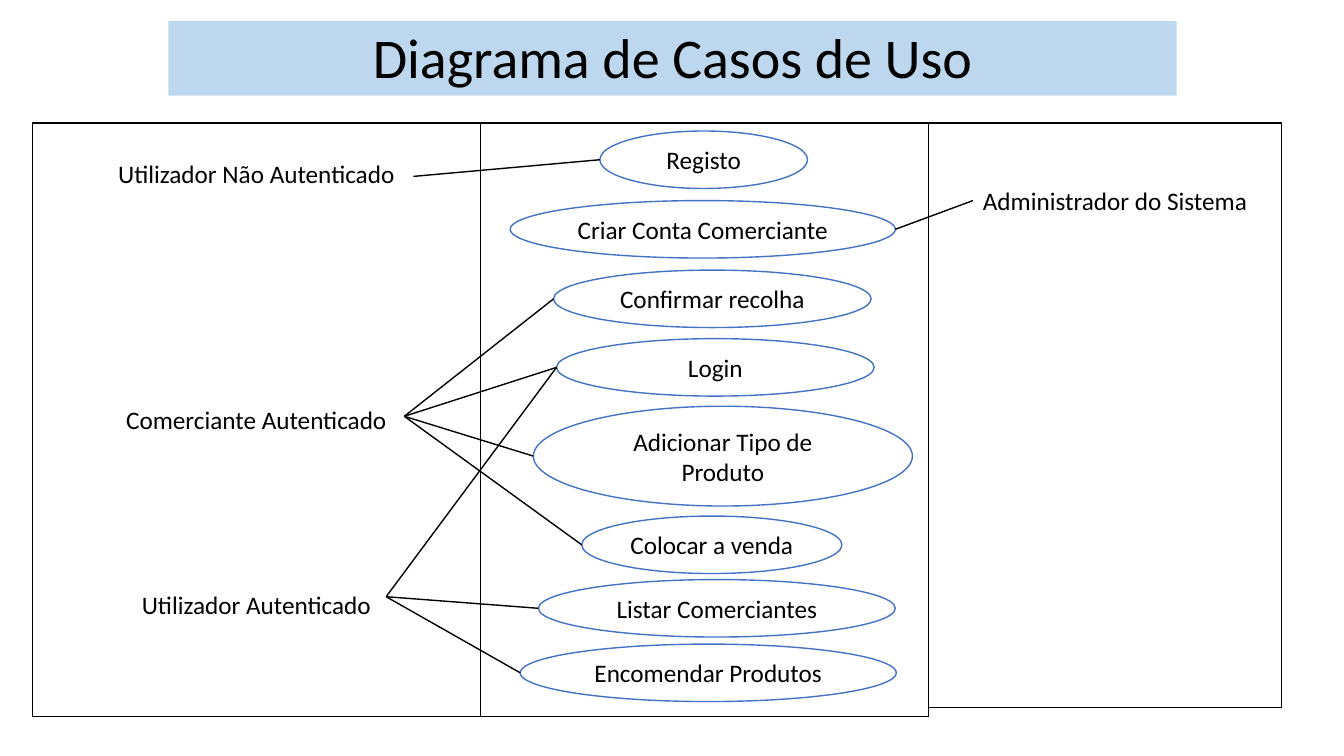
from lxml import etree
from pptx import Presentation
from pptx.dml.color import RGBColor
from pptx.enum.shapes import MSO_CONNECTOR as LINK, MSO_SHAPE as SHAPE
from pptx.enum.text import MSO_ANCHOR as ANCHOR, PP_ALIGN as ALIGN
from pptx.oxml import parse_xml
from pptx.oxml.ns import nsdecls, qn
from pptx.util import Inches, Pt

COLORS = {"text": "000000", "title": "BDD7EE", "case": "FFFFFF", "outline": "4472C4"}
FONT = {"name": "Calibri", "size": Pt(18)}


def write(para, text, align=ALIGN.CENTER, **extra):
    para.alignment = align
    span = para.add_run()
    span.text = text
    for name, value in {**FONT, **extra}.items():
        setattr(span.font, name, value)
    span.font.color.rgb = RGBColor.from_string(COLORS["text"])


def add_box(kind, place, fill=None, line=None):
    box = page.shapes.add_shape(kind, *map(Inches, place))
    box.shadow.inherit = False
    if fill:
        box.fill.solid()
        box.fill.fore_color.rgb = RGBColor.from_string(COLORS[fill])
    else:
        box.fill.background()
    if line:
        box.line.color.rgb = RGBColor.from_string(COLORS[line])
        box.line.width = Pt(1)
    else:
        box.line.fill.background()
    return box


deck = Presentation()
deck.slide_width, deck.slide_height = Inches(13.33), Inches(7.5)
page = deck.slides.add_slide(deck.slide_layouts[6])

title = add_box(SHAPE.RECTANGLE, (1.67, 0.21, 10, 0.74), fill="title").text_frame
title.vertical_anchor = ANCHOR.BOTTOM
title.paragraphs[0].line_spacing = 0.9
write(title.paragraphs[0], "Diagrama de Casos de Uso", size=Pt(40))

frame = page.shapes.add_table(1, 2, Inches(0.32), Inches(1.22), Inches(8.89), Inches(5.89))
table = frame.table
table.first_row = table.horz_banding = False
for cell in table.iter_cells():
    cell.fill.background()
    properties = cell._tc.get_or_add_tcPr()
    for order, side in enumerate(("lnL", "lnR", "lnT", "lnB")):
        properties.insert(order, parse_xml(
            f'<a:{side} {nsdecls("a")} w="12700"><a:solidFill>'
            f'<a:srgbClr val="{COLORS["text"]}"/></a:solidFill></a:{side}>'))

ACTORS = [
    ("Utilizador Não Autenticado", 0),
    ("Comerciante Autenticado", 154),
    ("Utilizador Autenticado", 110),
]
actors_cell = table.cell(0, 0)
actors_cell.margin_top = Inches(0.36)
for index, (actor, gap) in enumerate(ACTORS):
    actors = actors_cell.text_frame
    para = actors.add_paragraph() if index else actors.paragraphs[0]
    para.space_before = Pt(gap)
    write(para, actor)

CASES = {
    "Registo": (5.95, 1.3, 2.06, 0.57),
    "Criar Conta Comerciante": (5.06, 1.99, 3.82, 0.57),
    "Confirmar recolha": (5.49, 2.68, 3.15, 0.57),
    "Login": (5.52, 3.36, 3.15, 0.57),
    "Adicionar Tipo de Produto": (5.29, 4.03, 3.76, 0.99),
    "Colocar a venda": (5.77, 5.12, 2.58, 0.57),
    "Listar Comerciantes": (5.34, 5.75, 3.54, 0.57),
    "Encomendar Produtos": (5.16, 6.39, 3.73, 0.57),
}
for case, place in CASES.items():
    label = add_box(SHAPE.OVAL, place, fill="case", line="outline").text_frame
    label.word_wrap = True
    label.vertical_anchor = ANCHOR.MIDDLE
    label.margin_left = label.margin_right = Inches(0.06)
    write(label.paragraphs[0], case)

LINKS = [
    ((4.1, 1.75), ["Registo"]),
    ((9.65, 1.99), ["Criar Conta Comerciante"]),
    ((4.01, 4.13), ["Confirmar recolha", "Login", "Adicionar Tipo de Produto", "Colocar a venda"]),
    ((3.83, 5.92), ["Encomendar Produtos", "Listar Comerciantes", "Login"]),
]
for (start_x, start_y), targets in LINKS:
    for target in targets:
        left, top, width, height = CASES[target]
        end_x = left if start_x < left else left + width
        link = page.shapes.add_connector(
            LINK.STRAIGHT, Inches(start_x), Inches(start_y), Inches(end_x), Inches(top + height / 2))
        link.line.color.rgb = RGBColor.from_string(COLORS["text"])
        link.line.width = Pt(1)
        etree.SubElement(link._element.spPr, qn("a:effectLst"))

admin = page.shapes.add_textbox(Inches(9.65), Inches(1.79), Inches(2.9), Inches(0.4)).text_frame
admin.word_wrap = True
write(admin.paragraphs[0], "Administrador do Sistema", align=ALIGN.LEFT)

add_box(SHAPE.RECTANGLE, (9.21, 1.22, 3.5, 5.8), line="text")

deck.save("out.pptx")
